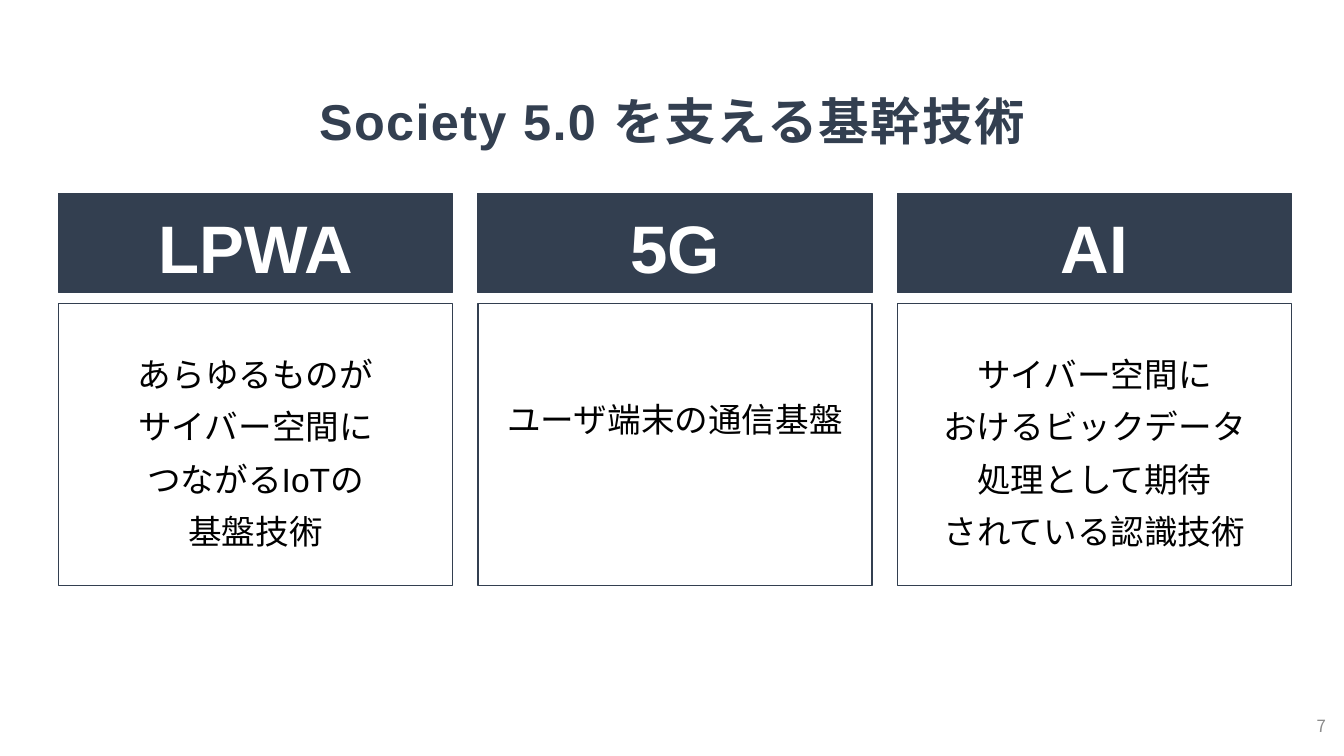
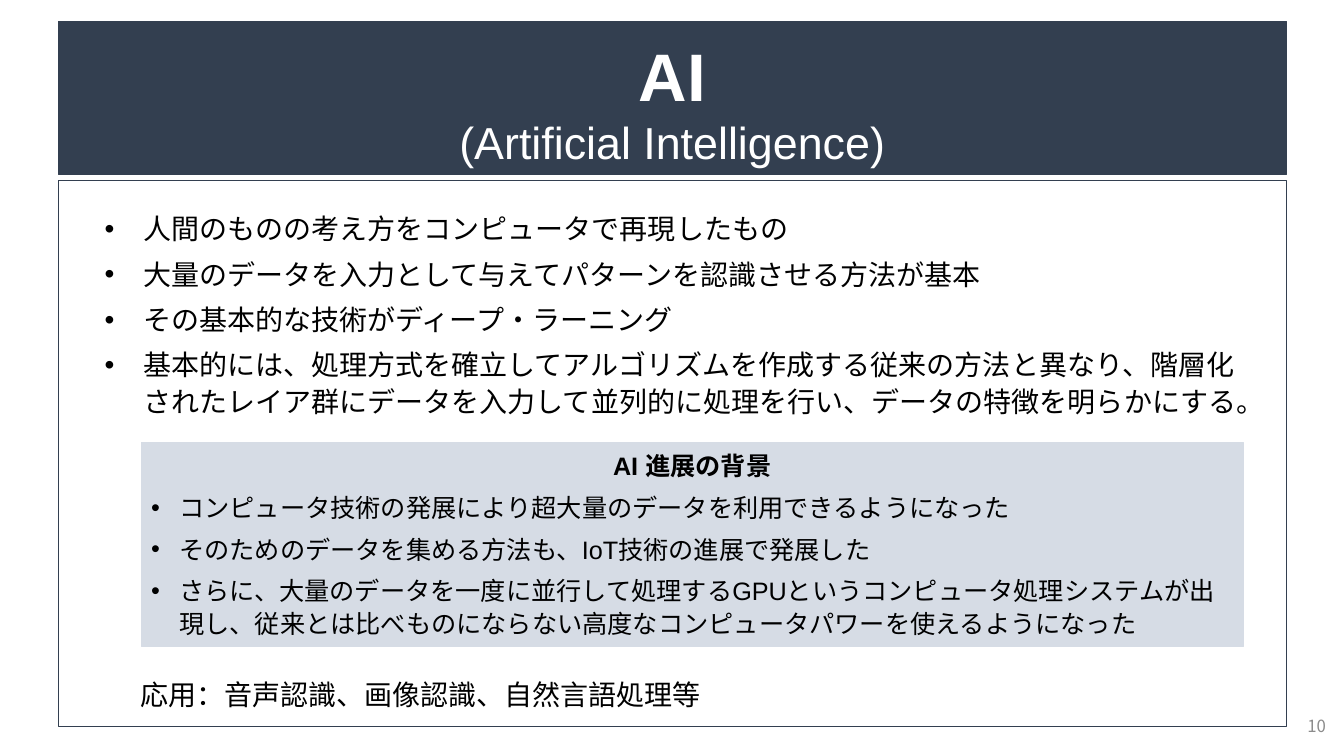
from lxml import etree
from pptx import Presentation
from pptx.dml.color import RGBColor
from pptx.enum.shapes import MSO_SHAPE as SHAPE
from pptx.enum.text import MSO_ANCHOR as ANCHOR, MSO_AUTO_SIZE as AUTO, PP_ALIGN as ALIGN
from pptx.oxml.ns import qn
from pptx.util import Inches, Pt


class Deck:
    """Holds the shared style and the current slide, and draws each kind of element."""

    COLORS = {"navy": "333F50", "pale": "D6DCE5", "white": "FFFFFF",
              "black": "000000", "grey": "8C8C8C"}
    LATIN, JAPANESE = "Arial", "Noto Sans CJK JP"
    WIDTH, HEIGHT, LEFT = 13.33, 7.5, 0.58

    def __init__(self):
        self.prs = Presentation()
        self.prs.slide_width = Inches(self.WIDTH)
        self.prs.slide_height = Inches(self.HEIGHT)
        self.s = None

    def color(self, name):
        return RGBColor.from_string(self.COLORS[name])

    def new_slide(self, number):
        self.s = self.prs.slides.add_slide(self.prs.slide_layouts[6])
        tf = self.text_box(10.25, 7, 3, 0.4, ANCHOR.MIDDLE, grow=False)
        self.para(tf, str(number), 12, "grey", align=ALIGN.RIGHT, font=self.JAPANESE)

    def frame(self, sp, anchor=ANCHOR.TOP, top=0.05, bottom=0.05, grow=True):
        tf = sp.text_frame
        tf.word_wrap = True
        tf.auto_size = AUTO.SHAPE_TO_FIT_TEXT if grow else AUTO.NONE
        tf.vertical_anchor = anchor
        tf.margin_top, tf.margin_bottom = Inches(top), Inches(bottom)
        return tf

    def text_box(self, x, y, w, h, *args, **kwargs):
        sp = self.s.shapes.add_textbox(Inches(x), Inches(y), Inches(w), Inches(h))
        return self.frame(sp, *args, **kwargs)

    def rect(self, x, y, w, h, fill=None, line="navy", weight=1):
        sp = self.s.shapes.add_shape(SHAPE.RECTANGLE, Inches(x), Inches(y), Inches(w), Inches(h))
        sp.shadow.inherit = False
        if fill:
            sp.fill.solid()
            sp.fill.fore_color.rgb = self.color(fill)
        else:
            sp.fill.background()
        sp.line.color.rgb = self.color(line)
        sp.line.width = Pt(weight)
        return sp

    def para(self, tf, text, size, color="black", bold=False, align=ALIGN.LEFT,
             spacing=None, after=None, indent=None, font=LATIN, tracking=None):
        p = tf.paragraphs[0]
        if p.runs:
            p = tf.add_paragraph()
        p.alignment = align
        if indent:
            pPr = p._p.get_or_add_pPr()
            pPr.set("marL", str(Inches(indent)))
            pPr.set("indent", str(-Inches(indent)))
            etree.SubElement(pPr, qn("a:buFont")).set("typeface", self.LATIN)
            etree.SubElement(pPr, qn("a:buChar")).set("char", "•")
        if spacing:
            p.line_spacing = spacing
        if after:
            p.space_after = Pt(after)
        r = p.add_run()
        r.text = text
        r.font.size, r.font.bold, r.font.name = Pt(size), bold, font
        r.font.color.rgb = self.color(color)
        rPr = r._r.get_or_add_rPr()
        etree.SubElement(rPr, qn("a:ea")).set("typeface", self.JAPANESE)
        if tracking:
            rPr.set("spc", str(tracking * 100))

    def title(self, text):
        tf = self.text_box(0, 0.69, self.WIDTH, 0.92, ANCHOR.MIDDLE, 0.2, 0.12)
        self.para(tf, text, 36, "navy", True, ALIGN.CENTER, tracking=1)

    def band(self, x, y, w, h, heading, subtitle=None):
        tf = self.frame(self.rect(x, y, w, h, "navy", weight=0.75), ANCHOR.MIDDLE, 0.12)
        self.para(tf, heading, 48, "white", True, ALIGN.CENTER)
        if subtitle:
            self.para(tf, subtitle, 32, "white", align=ALIGN.CENTER)

    def card(self, x, heading, lines, text_y, text_h, w=3.91, text_w=3.64):
        self.band(x, 1.92, w, 0.98, heading)
        self.rect(x, 3.01, w, 2.8)
        tf = self.text_box(x + (w - text_w) / 2, text_y, text_w, text_h)
        for line in lines:
            self.para(tf, line, 24, align=ALIGN.CENTER, spacing=1.3)

    def bullets(self, tf, items, size, indent):
        for item in items:
            self.para(tf, item, size, spacing=1.1, after=6, indent=indent)

    def panel(self, x, y, w, h, heading, items):
        tf = self.frame(self.rect(x, y, w, h, "pale", "pale", 0.5))
        self.para(tf, heading, 18, bold=True, align=ALIGN.CENTER, spacing=1.1, after=6)
        self.bullets(tf, items, 18, 0.28)


def technologies(deck):
    deck.new_slide(7)
    deck.title("Society 5.0 を支える基幹技術")
    cards = [
        ("LPWA", ["あらゆるものが", "サイバー空間に", "つながるIoTの", "基盤技術"], 3.34, 2.17),
        ("5G", ["ユーザ端末の通信基盤"], 3.79, 0.6),
        ("AI", ["サイバー空間に", "おけるビックデータ", "処理として期待",
                "されている認識技術"], 3.34, 2.17),
    ]
    for i, card in enumerate(cards):
        deck.card(deck.LEFT + 4.16 * i, *card)


def artificial_intelligence(deck):
    deck.new_slide(10)
    deck.band(deck.LEFT, 0.21, 12.18, 1.52, "AI", "(Artificial Intelligence)")
    deck.rect(deck.LEFT, 1.79, 12.18, 5.42)
    deck.bullets(deck.text_box(0.94, 2.02, 11.59, 2.2), [
        "人間のものの考え方をコンピュータで再現したもの",
        "大量のデータを入力として与えてパターンを認識させる方法が基本",
        "その基本的な技術がディープ・ラーニング",
        "基本的には、処理方式を確立してアルゴリズムを作成する従来の方法と異なり、"
        "階層化されたレイア群にデータを入力して並列的に処理を行い、データの特徴を明らかにする。",
    ], 20, 0.38)
    deck.panel(1.4, 4.39, 10.93, 2.02, "AI 進展の背景", [
        "コンピュータ技術の発展により超大量のデータを利用できるようになった",
        "そのためのデータを集める方法も、IoT技術の進展で発展した",
        "さらに、大量のデータを一度に並行して処理するGPUというコンピュータ処理システムが出現し、"
        "従来とは比べものにならない高度なコンピュータパワーを使えるようになった",
    ])
    deck.para(deck.text_box(1.29, 6.67, 7.81, 0.44),
              "応用：音声認識、画像認識、自然言語処理等", 20)


def main():
    deck = Deck()
    technologies(deck)
    artificial_intelligence(deck)
    deck.prs.save("out.pptx")


if __name__ == "__main__":
    main()
